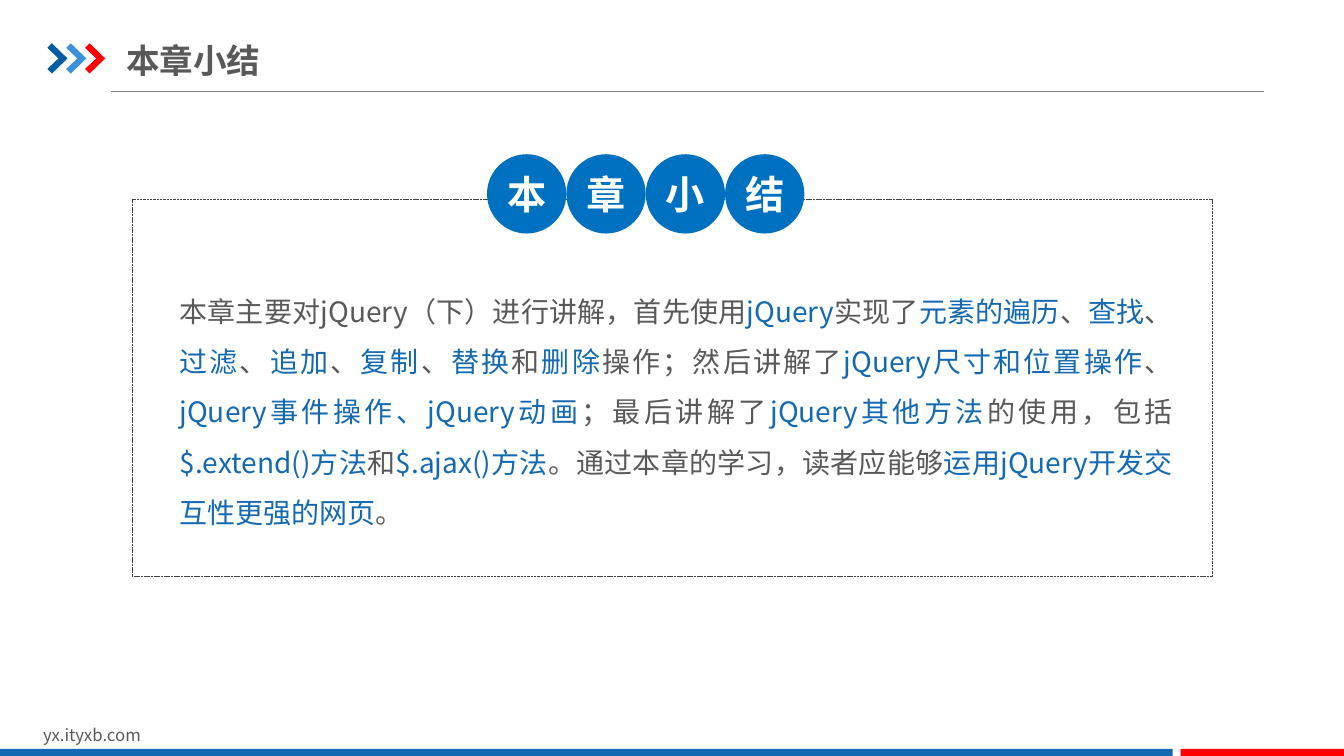
from lxml import etree
from pptx import Presentation
from pptx.dml.color import RGBColor
from pptx.enum.dml import MSO_LINE
from pptx.enum.lang import MSO_LANGUAGE_ID as Language
from pptx.enum.shapes import MSO_CONNECTOR as Connector, MSO_SHAPE as Shape
from pptx.enum.text import MSO_ANCHOR as Anchor, MSO_AUTO_SIZE as AutoSize, PP_ALIGN as Align
from pptx.oxml.ns import qn
from pptx.util import Inches, Pt

FONT = "Noto Sans CJK SC"
COLORS = {
    "text": "595959", "key": "1369B2", "circle": "0070C0", "white": "FFFFFF",
    "navy": "005DA2", "sky": "3992DB", "red": "FF0000",
    "rule": "808080", "frame": "404040",
}
TITLE = "本章小结"
# Plain and highlighted parts take turns, starting with plain text
SUMMARY = (
    "本章主要对jQuery（下）进行讲解，首先使用|jQuery|实现了|元素的遍历|、|查找|、|过滤|、|追加|、|"
    "复制|、|替换|和|删除|操作；然后讲解了|jQuery尺寸和位置操作|、|jQuery事件操作、jQuery动画|"
    "；最后讲解了|jQuery其他方法|的使用，包括|$.extend()方法|和|$.ajax()方法|"
    "。通过本章的学习，读者应能够|运用jQuery开发交互性更强的网页|。"
)


def color(name):
    return RGBColor.from_string(COLORS[name])


def add_run(para, text, size, color_name, bold=False):
    run = para.add_run()
    run.text = text
    font = run.font
    font.name, font.size, font.bold = FONT, Pt(size), bold
    font.color.rgb = color(color_name)
    font.language_id = Language.SIMPLIFIED_CHINESE
    east_asian = etree.Element(qn("a:ea"), typeface=FONT)
    font._element.find(qn("a:latin")).addnext(east_asian)


def set_frame(frame, side=0.0, top=0.0, anchor=Anchor.TOP):
    frame.word_wrap = True
    frame.vertical_anchor = anchor
    frame.margin_left = frame.margin_right = Inches(side)
    frame.margin_top = frame.margin_bottom = Inches(top)


def paint(shape, fill):
    shape.shadow.inherit = False
    shape.fill.solid()
    shape.fill.fore_color.rgb = color(fill)
    shape.line.fill.background()


def add_filled(page, kind, left, top, width, height, fill):
    shape = page.shapes.add_shape(
        kind, Inches(left), Inches(top), Inches(width), Inches(height))
    paint(shape, fill)
    return shape


def add_chevrons(page, left, top, width, height):
    group = page.shapes.add_group_shape()
    step, wide, notch = 0.187, 0.2, 0.045
    middle = height / 2
    for index, fill in enumerate(("navy", "sky", "red")):
        x = left + index * step
        outline = [(0, notch), (notch, 0), (wide, middle), (notch, height),
                   (0, height - notch), (wide - 2 * notch, middle)]
        points = [(Inches(x + dx), Inches(top + dy)) for dx, dy in outline]
        builder = group.shapes.build_freeform(*points[0], scale=1.0)
        builder.add_line_segments(points[1:], close=True)
        paint(builder.convert_to_shape(), fill)


def add_header(page, left, top, width, height):
    # Rule under the title
    rule = page.shapes.add_connector(
        Connector.STRAIGHT, Inches(left + 0.63), Inches(top + 0.55),
        Inches(left + width), Inches(top + 0.55))
    rule.line.color.rgb = color("rule")
    rule.line.width = Pt(0.75)
    etree.SubElement(rule._element.spPr, qn("a:effectLst"))
    add_chevrons(page, left, top + 0.07, 0.57, 0.3)
    # Title
    title = page.shapes.title
    title.left, title.top = Inches(left + 0.78), Inches(top)
    title.width, title.height = Inches(5.26), Inches(height)
    set_frame(title.text_frame, top=0.07, anchor=Anchor.MIDDLE)
    title.text_frame.auto_size = AutoSize.NONE
    para = title.text_frame.paragraphs[0]
    para.alignment = Align.LEFT
    add_run(para, TITLE, 24, "text", bold=True)


def add_footer(page, top, width, height):
    box = page.shapes.add_textbox(
        Inches(0.33), Inches(top - 0.29), Inches(3.18), Inches(0.3))
    set_frame(box.text_frame, side=0.1, top=0.05)
    add_run(box.text_frame.paragraphs[0], "yx.ityxb.com", 12, "text")
    # Two-colour bar
    split, gap = 11.63, 0.08
    add_filled(page, Shape.RECTANGLE, 0, top, split, height, "key")
    add_filled(page, Shape.RECTANGLE, split + gap, top,
               width - split - gap, height, "red")


def add_summary(page, left, top, width, height):
    # Dashed frame
    frame = page.shapes.add_shape(
        Shape.RECTANGLE, Inches(left), Inches(top), Inches(width), Inches(height))
    frame.shadow.inherit = False
    frame.fill.background()
    frame.line.color.rgb = color("frame")
    frame.line.width = Pt(0.25)
    frame.line.dash_style = MSO_LINE.SQUARE_DOT
    # Summary text
    box = page.shapes.add_textbox(
        Inches(left + 0.47), Inches(top + 0.77), Inches(9.85), Inches(2.52))
    set_frame(box.text_frame)
    para = box.text_frame.paragraphs[0]
    para.alignment = Align.JUSTIFY
    para.line_spacing = 1.5
    for index, part in enumerate(SUMMARY.split("|")):
        add_run(para, part, 20, "key" if index % 2 else "text")
    # Heading in touching circles
    size = 0.787
    for index, letter in enumerate(TITLE):
        circle = add_filled(page, Shape.OVAL, left + 3.52 + index * size,
                            top - 0.45, size, size, "circle")
        set_frame(circle.text_frame, anchor=Anchor.MIDDLE)
        para = circle.text_frame.paragraphs[0]
        para.alignment = Align.CENTER
        add_run(para, letter, 28, "white", bold=True)


def main():
    deck = Presentation()
    deck.slide_width, deck.slide_height = Inches(13.33), Inches(7.5)
    page = deck.slides.add_slide(deck.slide_layouts[5])
    add_header(page, 0.47, 0.36, 12.07, 0.48)
    add_footer(page, 7.43, 13.33, 0.07)
    add_summary(page, 1.31, 1.98, 10.71, 3.74)
    deck.save("out.pptx")


if __name__ == "__main__":
    main()
